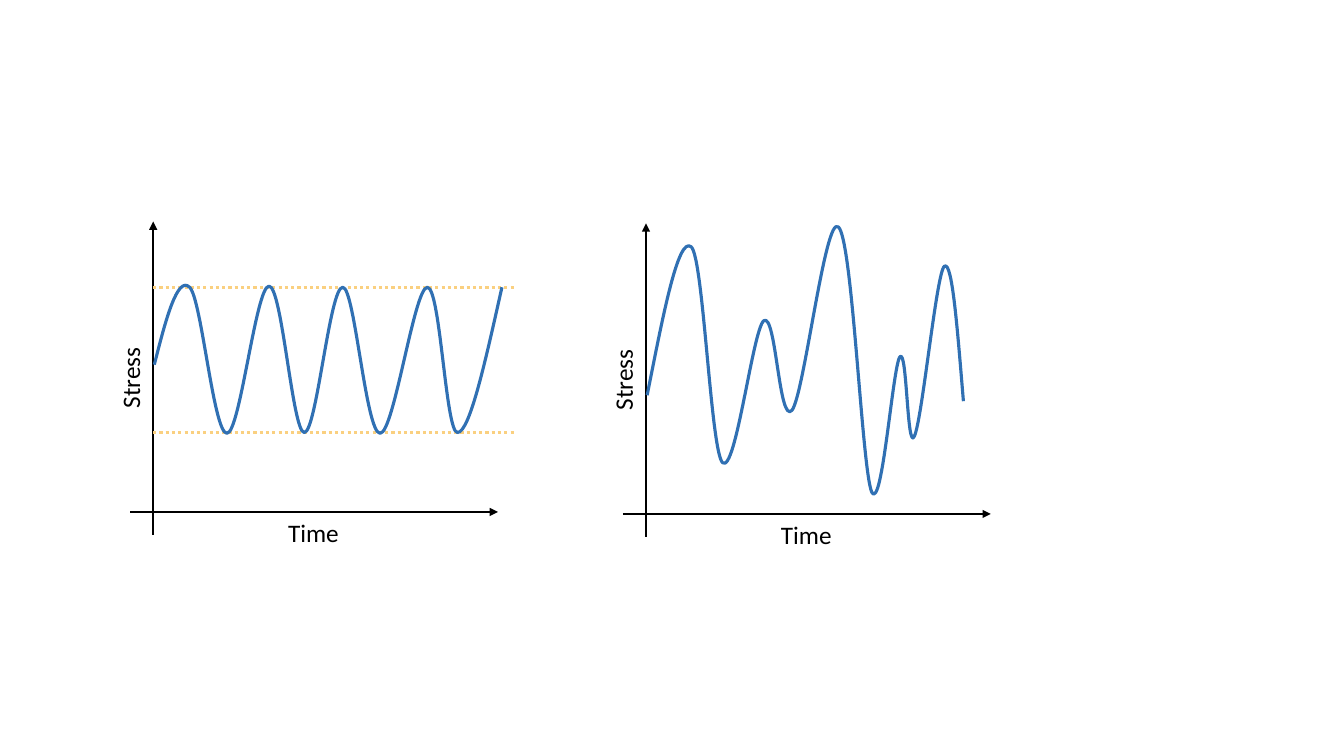
from lxml import etree
from pptx import Presentation
from pptx.dml.color import RGBColor
from pptx.enum.dml import MSO_LINE
from pptx.enum.shapes import MSO_CONNECTOR
from pptx.enum.text import MSO_AUTO_SIZE
from pptx.oxml.ns import qn
from pptx.util import Cm, Pt

STRAIGHT = MSO_CONNECTOR.STRAIGHT
DOTTED = MSO_LINE.ROUND_DOT
FIT_SHAPE = MSO_AUTO_SIZE.SHAPE_TO_FIT_TEXT

BLACK = RGBColor(0x00, 0x00, 0x00)
BLUE = RGBColor(0x30, 0x70, 0xB3)
YELLOW = RGBColor(0xFA, 0xD0, 0x80)

LABEL_HEIGHT = 1.02

CONSTANT_AMPLITUDE = [
    (3.89, 9.19),
    (4.17, 8.08), (4.47, 6.93), (4.78, 7.24),
    (5.08, 7.52), (5.38, 10.92), (5.72, 10.92),
    (6.05, 10.92), (6.45, 7.21), (6.78, 7.21),
    (7.11, 7.21), (7.37, 10.9), (7.67, 10.9),
    (7.98, 10.9), (8.31, 7.21), (8.64, 7.24),
    (8.94, 7.24), (9.22, 10.92), (9.58, 10.92),
    (9.93, 10.92), (10.44, 7.24), (10.77, 7.24),
    (11.1, 7.24), (11.23, 10.9), (11.53, 10.9),
    (11.84, 10.9), (12.24, 9.07), (12.65, 7.24),
]
VARIABLE_AMPLITUDE = [
    (16.31, 9.96),
    (16.71, 7.95), (17.09, 5.94), (17.42, 6.22),
    (17.73, 6.5), (17.91, 11.35), (18.21, 11.66),
    (18.54, 11.96), (18.97, 8.31), (19.25, 8.08),
    (19.56, 7.87), (19.63, 10.72), (19.96, 10.34),
    (20.27, 9.93), (20.8, 5.38), (21.13, 5.72),
    (21.49, 6.05), (21.72, 11.84), (21.97, 12.4),
    (22.23, 12.93), (22.5, 9.22), (22.68, 8.99),
    (22.86, 8.76), (22.86, 11.38), (23.04, 11),
    (23.24, 10.62), (23.6, 6.86), (23.8, 6.71),
    (24, 6.55), (24.13, 8.33), (24.28, 10.11),
]


class StressSlide:
    font_name = "Calibri"
    font_size = Pt(18)
    axis_width = Pt(1.5)
    curve_width = Pt(2.25)

    def __init__(self, slide):
        self.slide = slide

    def line(self, start, end, color, width):
        connector = self.slide.shapes.add_connector(
            STRAIGHT, *(Cm(value) for value in (*start, *end)))
        connector.line.color.rgb = color
        connector.line.width = width
        etree.SubElement(connector._element.spPr, qn("a:effectLst"))
        return connector

    def axis(self, start, end):
        connector = self.line(start, end, BLACK, self.axis_width)
        outline = connector.line._get_or_add_ln()
        etree.SubElement(outline, qn("a:tailEnd"), type="triangle")

    def limit(self, start, end):
        connector = self.line(start, end, YELLOW, self.curve_width)
        connector.line.dash_style = DOTTED

    def label(self, text, left, top, width, rotation=0):
        box = self.slide.shapes.add_textbox(
            Cm(left), Cm(top), Cm(width), Cm(LABEL_HEIGHT))
        box.rotation = rotation
        frame = box.text_frame
        frame.word_wrap = True
        frame.auto_size = FIT_SHAPE
        run = frame.paragraphs[0].add_run()
        run.text = text
        run.font.name = self.font_name
        run.font.size = self.font_size
        run.font.color.rgb = BLACK

    def axes(self, x, y, stress_width):
        self.axis((x, y + 0.58), (x, y - 7.32))
        self.axis((x - 0.58, y), (x + 8.69, y))
        self.label("Stress", x - 0.58 - stress_width / 2,
                   y - 2.36 - (stress_width + LABEL_HEIGHT) / 2, stress_width, 270)
        self.label("Time", x + 3.15, y, 2.26)

    def curve(self, points):
        (start_x, start_y), *controls = [(Cm(x), Cm(y)) for x, y in points]
        builder = self.slide.shapes.build_freeform(start_x, start_y)
        builder.add_line_segments(controls, close=False)
        shape = builder.convert_to_shape()
        shape.shadow.inherit = False
        shape.fill.background()
        shape.line.color.rgb = BLUE
        shape.line.width = self.curve_width
        outline = next(shape._element.iter(qn("a:path")))
        segments = outline.findall(qn("a:lnTo"))
        for index in range(0, len(segments), 3):
            bezier = etree.SubElement(outline, qn("a:cubicBezTo"))
            for segment in segments[index:index + 3]:
                bezier.append(segment[0])
                outline.remove(segment)


def main():
    presentation = Presentation()
    presentation.slide_width = Cm(33.87)
    presentation.slide_height = Cm(19.05)
    slide = presentation.slides.add_slide(presentation.slide_layouts[6])
    stress = StressSlide(slide)

    stress.axes(3.86, 12.9, 2.84)
    for level in (7.24, 10.9):
        stress.limit((3.86, level), (12.98, level))
    stress.curve(CONSTANT_AMPLITUDE)

    stress.axes(16.28, 12.95, 2.67)
    stress.curve(VARIABLE_AMPLITUDE)

    presentation.save("out.pptx")


if __name__ == "__main__":
    main()
